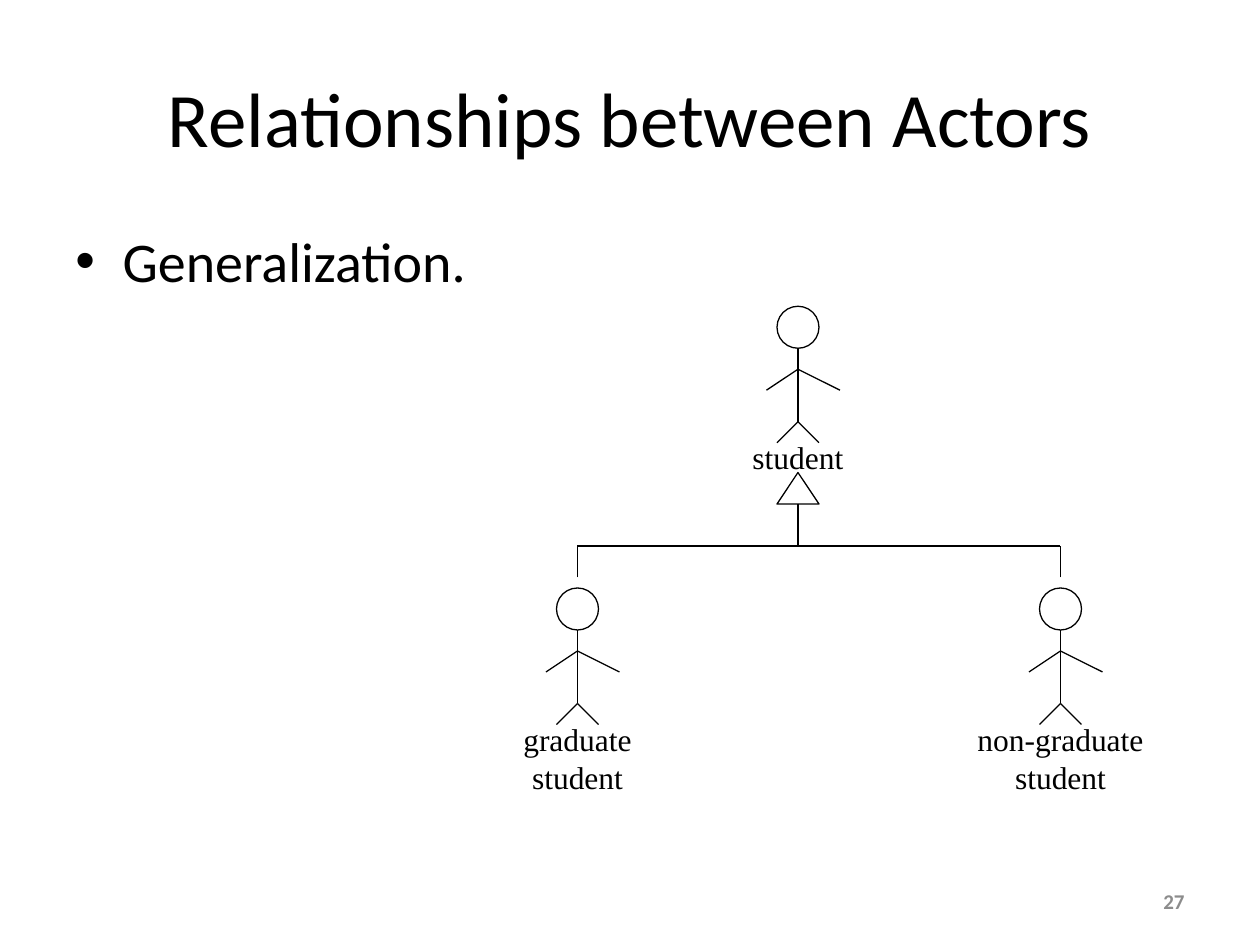
from pptx import Presentation
from pptx.dml.color import RGBColor
from pptx.enum.shapes import MSO_CONNECTOR, MSO_SHAPE
from pptx.enum.text import MSO_ANCHOR, PP_ALIGN
from pptx.oxml.ns import qn
from pptx.util import Pt
from lxml.etree import SubElement

BLACK, GREY = "000000", "8C8C8C"
HEAD = 24  # head diameter


def set_color(color_format, value):
    color_format.rgb = RGBColor.from_string(value)


def add_text(shapes, box, text, size, font="Calibri", color=BLACK,
             align=PP_ALIGN.LEFT, anchor=MSO_ANCHOR.TOP, bold=False):
    tb = shapes.add_textbox(*map(Pt, box))
    tf = tb.text_frame
    tf.word_wrap = True
    tf.vertical_anchor = anchor
    tf.text = text
    for p in tf.paragraphs:
        p.alignment = align
        for r in p.runs:
            r.font.name, r.font.size, r.font.bold = font, Pt(size), bold
            set_color(r.font.color, color)
    return tb


def add_bullet(p, indent):
    pPr = p._p.get_or_add_pPr()
    pPr.set("marL", str(Pt(indent)))
    pPr.set("indent", str(-Pt(indent)))
    SubElement(pPr, qn("a:buFont"), typeface="Arial")
    SubElement(pPr, qn("a:buChar"), char="•")


def add_line(shapes, x1, y1, x2, y2):
    c = shapes.add_connector(MSO_CONNECTOR.STRAIGHT,
                             Pt(x1), Pt(y1), Pt(x2), Pt(y2))
    set_color(c.line.color, BLACK)
    c.line.width = Pt(0.75)
    SubElement(c._element.spPr, qn("a:effectLst"))


def add_outline(shapes, kind, x, y, w, h):
    s = shapes.add_shape(kind, Pt(x), Pt(y), Pt(w), Pt(h))
    s.shadow.inherit = False
    s.fill.background()
    set_color(s.line.color, BLACK)
    s.line.width = Pt(0.75)


def add_actor(slide, cx, top, label, width, height):
    shapes = slide.shapes.add_group_shape().shapes
    add_outline(shapes, MSO_SHAPE.OVAL, cx - HEAD / 2, top, HEAD, HEAD)
    shoulder, hip = top + 36, top + 66
    add_line(shapes, cx, top + HEAD, cx, hip)
    # Arms, then legs
    for y, dx in ((shoulder, 24), (shoulder, -18), (hip, 12), (hip, -12)):
        add_line(shapes, cx, y, cx + dx, y + 12)
    add_text(shapes, (cx - width / 2, top + 72, width, height), label, 18,
             "Times New Roman", align=PP_ALIGN.CENTER)


def add_generalization(slide, parent_x, child_xs):
    shapes = slide.shapes.add_group_shape().shapes
    tip, base, bar, end = 270, 288, 312, 330
    for x in child_xs:
        add_line(shapes, x, end, x, bar)
    add_line(shapes, child_xs[0], bar, child_xs[-1], bar)
    add_outline(shapes, MSO_SHAPE.ISOSCELES_TRIANGLE,
                parent_x - 12, tip, 24, base - tip)
    add_line(shapes, parent_x, base, parent_x, bar)


def main():
    prs = Presentation()
    prs.slide_width, prs.slide_height = Pt(720), Pt(540)
    slide = prs.slides.add_slide(prs.slide_layouts[6])

    # Title, bullet and page number
    add_text(slide.shapes, (36, 21.6, 648, 90), "Relationships between Actors",
             44, align=PP_ALIGN.CENTER, anchor=MSO_ANCHOR.MIDDLE)
    body = add_text(slide.shapes, (36, 126, 648, 356.4), "Generalization.", 32)
    p = body.text_frame.paragraphs[0]
    p.space_before = Pt(6.4)
    add_bullet(p, 27)
    add_text(slide.shapes, (516, 500.5, 168, 28.75), "27", 12, color=GREY,
             align=PP_ALIGN.RIGHT, anchor=MSO_ANCHOR.MIDDLE, bold=True)

    # Actors
    parent_x, graduate_x, non_graduate_x = 456, 330, 606
    add_actor(slide, parent_x, 175, "student", 72, 29)
    add_actor(slide, non_graduate_x, 336, "non-graduate\nstudent", 120, 50)
    add_actor(slide, graduate_x, 336, "graduate\nstudent", 96, 50)

    # Generalization arrow
    add_generalization(slide, parent_x, (graduate_x, non_graduate_x))

    prs.save("out.pptx")


if __name__ == "__main__":
    main()
